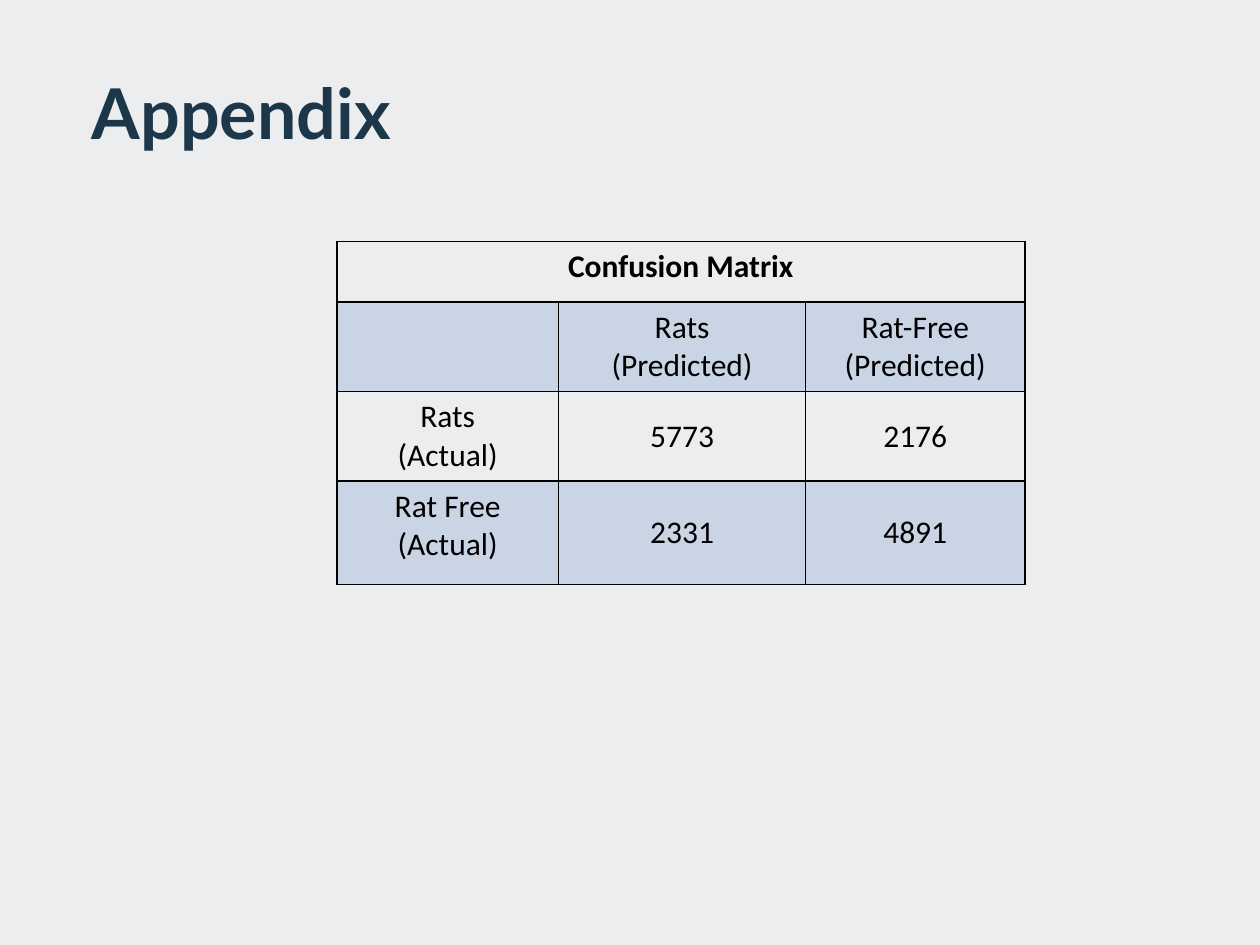
from lxml.etree import SubElement
from pptx import Presentation
from pptx.dml.color import RGBColor
from pptx.enum.text import MSO_ANCHOR, PP_ALIGN
from pptx.oxml.ns import qn
from pptx.util import Cm, Pt

COLORS = {"background": "EBEDEE", "title": "1C364A", "text": "000000",
          "border": "000000", "band": "4472C4"}
TITLE_FORMAT = {"name": "Lato", "size": Pt(40), "bold": True}
CELL_FORMAT = {"name": "Calibri", "size": Pt(18), "bold": False}
HEADING_FORMAT = {**CELL_FORMAT, "bold": True}

COLUMN_WIDTHS = [4.47, 4.98, 4.42]
ROW_HEIGHTS = [1.22, 1.68, 1.63, 2.08]
MATRIX = [
    ["Confusion Matrix", "", ""],
    ["", "Rats\n(Predicted)", "Rat-Free\n(Predicted)"],
    ["Rats\n(Actual)", "5773", "2176"],
    ["Rat Free\n(Actual)", "2331", "4891"],
]


def rgb(name):
    return RGBColor.from_string(COLORS[name])


def set_font(font, values, color):
    for key, value in values.items():
        setattr(font, key, value)
    font.color.rgb = rgb(color)


def set_borders(cell):
    tcPr = cell._tc.get_or_add_tcPr()
    for side in ("lnL", "lnR", "lnT", "lnB"):
        ln = SubElement(tcPr, qn(f"a:{side}"), w=str(Pt(1)))
        fill = SubElement(ln, qn("a:solidFill"))
        SubElement(fill, qn("a:srgbClr"), val=COLORS["border"])


def set_band(cell, banded):
    if not banded:
        cell.fill.background()
        return
    cell.fill.solid()
    cell.fill.fore_color.rgb = rgb("band")
    color = cell._tc.tcPr.find(qn("a:solidFill")).find(qn("a:srgbClr"))
    SubElement(color, qn("a:alpha"), val="20000")


def add_title(s, left, top, width, height):
    sp = s.shapes.title
    box = {"left": left, "top": top, "width": width, "height": height}
    for key, value in box.items():
        setattr(sp, key, Cm(value))
    tf = sp.text_frame
    tf.text = "Appendix"
    tf.vertical_anchor = MSO_ANCHOR.TOP
    p = tf.paragraphs[0]
    p.alignment = PP_ALIGN.LEFT
    p.line_spacing = 0.9
    set_font(p.runs[0].font, TITLE_FORMAT, "title")


def add_matrix(s, left, top):
    table = s.shapes.add_table(
        len(MATRIX), len(COLUMN_WIDTHS), Cm(left), Cm(top),
        Cm(sum(COLUMN_WIDTHS)), Cm(sum(ROW_HEIGHTS))).table
    table.first_row = table.horz_banding = False
    for column, width in zip(table.columns, COLUMN_WIDTHS):
        column.width = Cm(width)
    for row, height in zip(table.rows, ROW_HEIGHTS):
        row.height = Cm(height)

    for i, texts in enumerate(MATRIX):
        for j, text in enumerate(texts):
            cell = table.cell(i, j)
            cell.text = text
            set_borders(cell)
            set_band(cell, i % 2 == 1)
            # Counts sit in the middle of their cells
            cell.vertical_anchor = MSO_ANCHOR.MIDDLE if text.isdigit() else MSO_ANCHOR.TOP
            for p in cell.text_frame.paragraphs:
                p.alignment = PP_ALIGN.CENTER
                for r in p.runs:
                    set_font(r.font, CELL_FORMAT if i else HEADING_FORMAT, "text")
    # The heading spans all columns
    table.cell(0, 0).merge(table.cell(0, len(COLUMN_WIDTHS) - 1))


def main():
    prs = Presentation()
    prs.slide_width, prs.slide_height = Cm(25.4), Cm(19.05)
    s = prs.slides.add_slide(prs.slide_layouts[5])
    s.background.fill.solid()
    s.background.fill.fore_color.rgb = rgb("background")
    add_matrix(s, 6.79, 4.87)
    add_title(s, 1.6, 1.47, 21.41, 1.93)
    prs.save("out.pptx")


if __name__ == "__main__":
    main()
